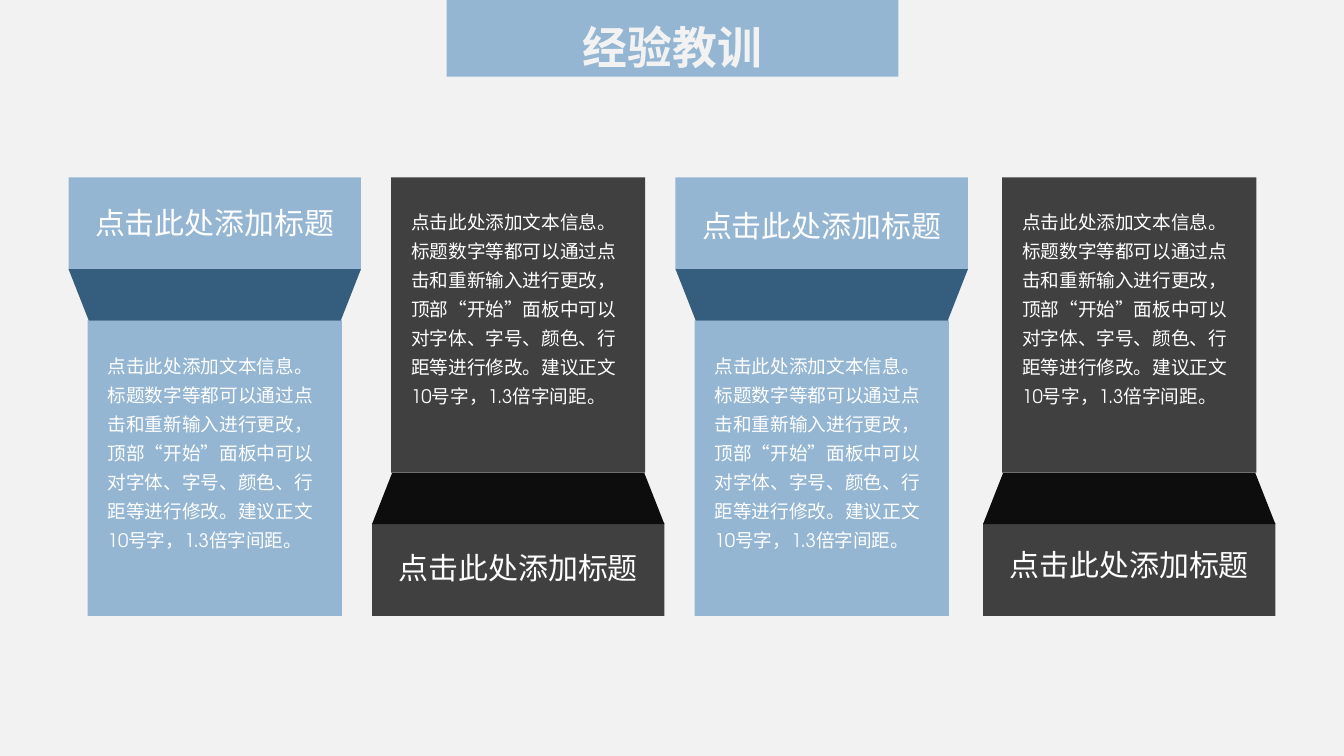
from pptx import Presentation
from pptx.dml.color import RGBColor
from pptx.enum.shapes import MSO_SHAPE as SHAPE
from pptx.enum.text import MSO_ANCHOR, MSO_AUTO_SIZE as AUTO, PP_ALIGN
from pptx.util import Inches, Pt

COLORS = {
    "background": "F2F2F2", "white": "FFFFFF",
    "blue": "94B6D2", "blue fold": "355D7E",
    "gray": "404040", "gray fold": "0D0D0D",
}
FONT = "TeX Gyre Adventor"
HEADING = "点击此处添加标题"
BODY = [
    "点击此处添加文本信息。",
    "标题数字等都可以通过点击和重新输入进行更改，顶部“开始”面板中可以"
    "对字体、字号、颜色、行距等进行修改。建议正文10号字，1.3倍字间距。",
]
TOP, CAP_W, CAP_H = 1.76, 2.9, 0.92
PANEL_W, PANEL_H, FOLD_H = 2.52, 2.93, 0.51

# left edge, color, cap on top, heading top
CARDS = [
    (0.68, "blue", True, 1.98),
    (3.69, "gray", False, 5.4),
    (6.7, "blue", True, 2.01),
    (9.75, "gray", False, 5.37),
]

prs = Presentation()
prs.slide_width, prs.slide_height = Inches(13.33), Inches(7.5)
s = prs.slides.add_slide(prs.slide_layouts[5])
s.background.fill.solid()
s.background.fill.fore_color.rgb = RGBColor.from_string(COLORS["background"])


def add_block(kind, x, y, w, h, color):
    sp = s.shapes.add_shape(kind, Inches(x), Inches(y), Inches(w), Inches(h))
    sp.shadow.inherit = False
    sp.fill.solid()
    sp.fill.fore_color.rgb = RGBColor.from_string(COLORS[color])
    sp.line.fill.background()
    return sp


def style(p, size, color="white", bold=False):
    p.font.name = FONT
    p.font.size = Pt(size)
    p.font.bold = bold
    p.font.color.rgb = RGBColor.from_string(COLORS[color])


# Title banner
title = s.shapes.title
title.left, title.top = Inches(4.43), Inches(0)
title.width, title.height = Inches(4.48), Inches(0.76)
title.fill.solid()
title.fill.fore_color.rgb = RGBColor.from_string(COLORS["blue"])
tf = title.text_frame
tf.text = "经验教训"
tf.auto_size = AUTO.NONE
tf.vertical_anchor = MSO_ANCHOR.MIDDLE
p = tf.paragraphs[0]
p.alignment = PP_ALIGN.CENTER
p.line_spacing = 1.3
style(p, 32, "background", bold=True)

# Folded cards
for x, color, cap_on_top, heading_y in CARDS:
    if cap_on_top:
        cap_y, fold_y, panel_y, body_y = TOP, 2.67, 3.18, 3.41
    else:
        cap_y, fold_y, panel_y, body_y = 5.19, 4.69, TOP, 1.98
    panel_x = x + (CAP_W - PANEL_W) / 2
    add_block(SHAPE.RECTANGLE, x, cap_y, CAP_W, CAP_H, color)
    add_block(SHAPE.RECTANGLE, panel_x, panel_y, PANEL_W, PANEL_H, color)
    fold = add_block(SHAPE.TRAPEZOID, x, fold_y, CAP_W, FOLD_H, color + " fold")
    fold.adjustments[0] = 0.393
    fold.rotation = 180 if cap_on_top else 0

    body = s.shapes.add_textbox(Inches(x + 0.29), Inches(body_y),
                                Inches(2.26), Inches(2.14))
    tf = body.text_frame
    tf.word_wrap = True
    tf.auto_size = AUTO.SHAPE_TO_FIT_TEXT
    tf.text = "\n".join(BODY)
    for p in tf.paragraphs:
        p.line_spacing = 1.3
        style(p, 13.3)

    heading = s.shapes.add_textbox(Inches(x + 0.15), Inches(heading_y),
                                   Inches(2.6), Inches(0.46))
    tf = heading.text_frame
    tf.word_wrap = False
    tf.auto_size = AUTO.SHAPE_TO_FIT_TEXT
    tf.text = HEADING
    p = tf.paragraphs[0]
    p.alignment = PP_ALIGN.CENTER
    style(p, 21.4)

prs.save("out.pptx")
